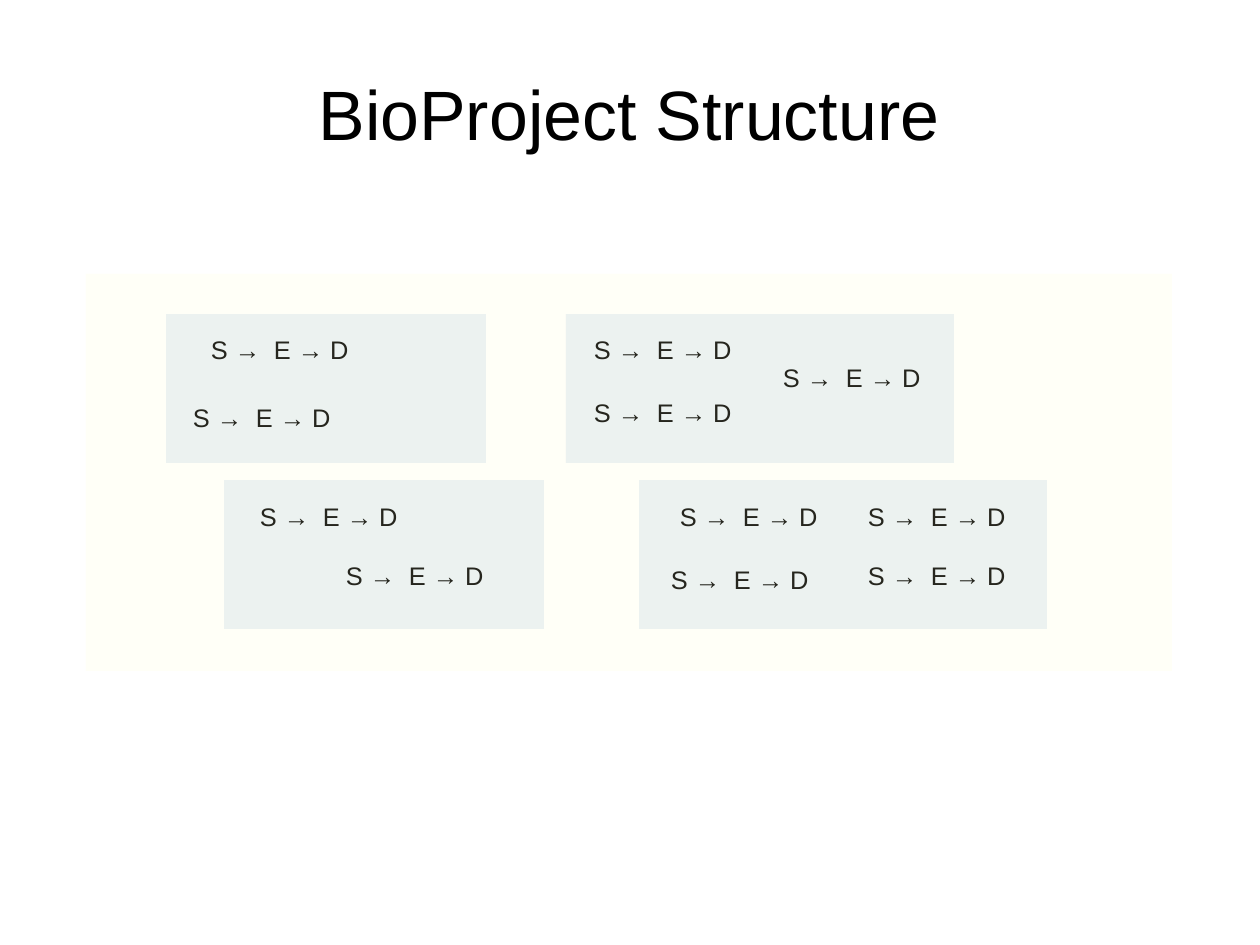
from lxml.etree import SubElement
from pptx import Presentation
from pptx.dml.color import RGBColor
from pptx.enum.shapes import MSO_SHAPE
from pptx.enum.text import MSO_ANCHOR, PP_ALIGN
from pptx.oxml.ns import qn
from pptx.util import Pt

PX = 8000  # EMU
BLACK = RGBColor(0x00, 0x00, 0x00)
BLUE = RGBColor(0x72, 0x9F, 0xCF)
CREAM = RGBColor(0xFF, 0xFF, 0xCC)
CHAIN = "S →\tE → D"
TAB = 63

# Each group: its box, then the left and top of each chain in it.
GROUPS = [
    ((166, 314, 320, 149), [(200, 331), (182, 399)]),
    ((566, 314, 388, 149), [(583, 331), (583, 394), (772, 359)]),
    ((224, 480, 320, 149), [(249, 498), (335, 557)]),
    ((639, 480, 408, 149), [(669, 498), (660, 561), (857, 498), (857, 557)]),
]


def scale(*sizes):
    return [size * PX for size in sizes]


def add_text(slide, box, text, size=16, align=PP_ALIGN.LEFT,
             anchor=MSO_ANCHOR.TOP, inset=(11, 6), tab=None):
    frame = slide.shapes.add_textbox(*scale(*box)).text_frame
    frame.word_wrap = True
    frame.vertical_anchor = anchor
    side, edge = scale(*inset)
    frame.margin_left = frame.margin_right = side
    frame.margin_top = frame.margin_bottom = edge
    line = frame.paragraphs[0]
    if tab:
        stops = SubElement(line._p.get_or_add_pPr(), qn("a:tabLst"))
        SubElement(stops, qn("a:tab"), pos=str(tab * PX), algn="l")
    line.alignment = align
    line.line_spacing = 0.94
    run = line.add_run()
    run.text = text
    run.font.name = "Arial"
    run.font.size = Pt(size)
    run.font.color.rgb = BLACK


def add_tint(slide, box, color):
    """Add a borderless rectangle filled at 15% opacity."""
    shape = slide.shapes.add_shape(MSO_SHAPE.RECTANGLE, *scale(*box))
    shape.shadow.inherit = False
    shape.line.fill.background()
    shape.fill.solid()
    shape.fill.fore_color.rgb = color
    tone = shape._element.spPr.find(qn("a:solidFill"))[0]
    SubElement(tone, qn("a:alpha"), val="15000")


def main():
    deck = Presentation()
    deck.slide_width, deck.slide_height = scale(1260, 945)
    slide = deck.slides.add_slide(deck.slide_layouts[6])
    add_text(slide, (63, 38, 1133, 157), "BioProject Structure", size=44,
             align=PP_ALIGN.CENTER, anchor=MSO_ANCHOR.MIDDLE, inset=(0, 0))
    for box, _ in GROUPS:
        add_tint(slide, box, BLUE)
    for _, spots in GROUPS:
        for left, top in spots:
            add_text(slide, (left, top, 171, 46), CHAIN, tab=TAB)
    add_tint(slide, (86, 274, 1086, 397), CREAM)
    deck.save("out.pptx")


if __name__ == "__main__":
    main()
